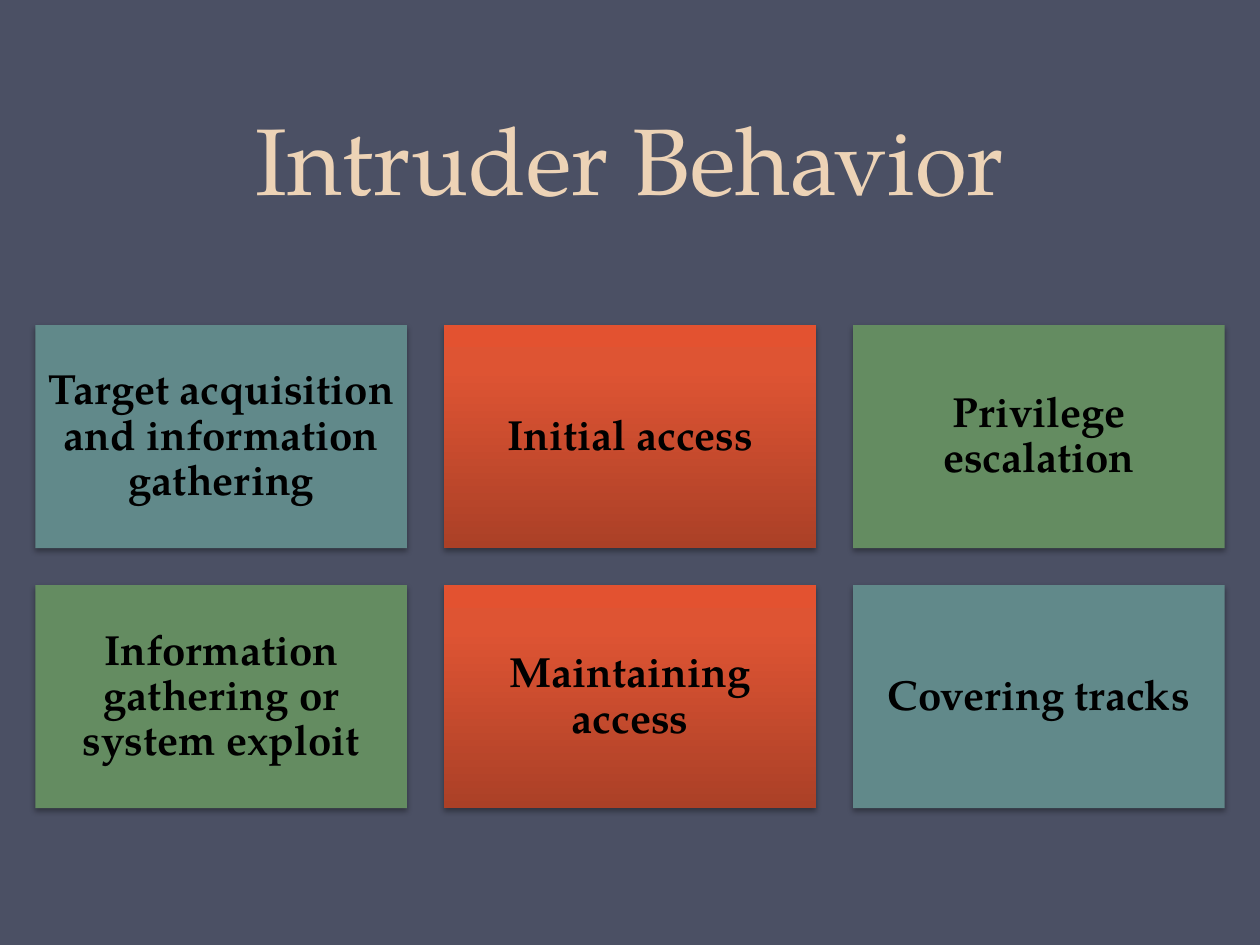
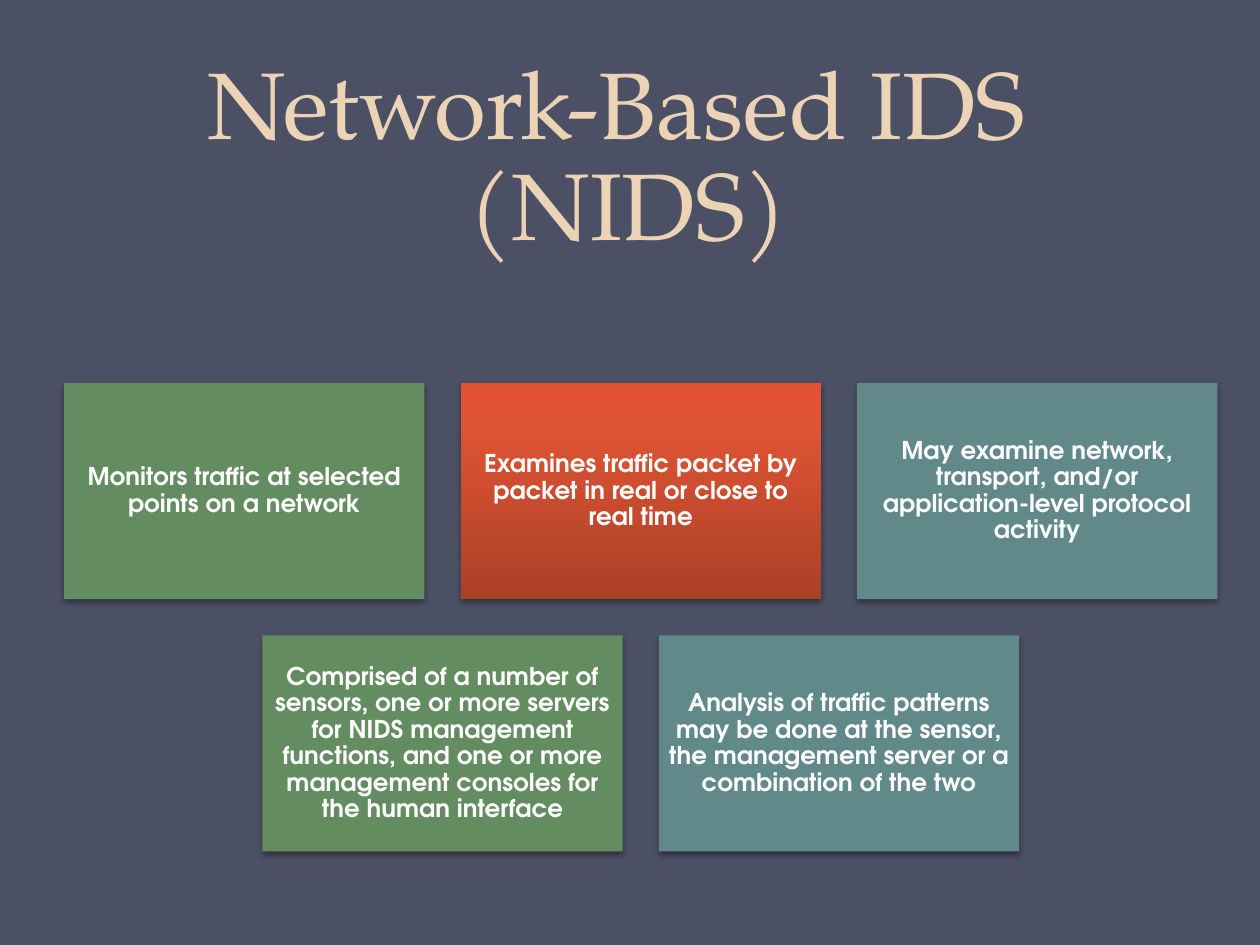
import dataclasses

import pptx
import pptx.dml.color
import pptx.enum.shapes
import pptx.enum.text
import pptx.oxml
import pptx.oxml.ns
import pptx.util

Inches = pptx.util.Inches
Pt = pptx.util.Pt
RGB = pptx.dml.color.RGBColor.from_string
ANCHOR = pptx.enum.text.MSO_ANCHOR
CENTER = pptx.enum.text.PP_ALIGN.CENTER
NS = pptx.oxml.ns.nsdecls("a")


@dataclasses.dataclass(frozen=True)
class Theme:
    background: str = "4B5064"
    title: str = "EDD3B6"
    teal: str = "61898A"
    green: str = "648C61"
    ember: tuple = ((0, "AB4027"), (80, "DE5433"), (100, "E35230"))
    dark: str = "000000"
    light: str = "FFFFFF"
    serif: str = "TeX Gyre Pagella"
    sans: str = "TeX Gyre Adventor"
    title_size: int = 54
    title_leading: int = 58
    large: int = 24
    small: int = 14


def apply(target, values):
    for name, value in values.items():
        setattr(target, name, value)


class Deck:
    def __init__(self, theme):
        self.theme = theme
        self.prs = pptx.Presentation()
        apply(self.prs, {"slide_width": Inches(10), "slide_height": Inches(7.5)})
        fill = self.prs.slide_master.background.fill
        fill.solid()
        fill.fore_color.rgb = RGB(theme.background)

    def slide(self):
        self.s = self.prs.slides.add_slide(self.prs.slide_layouts[5])

    def set_text(self, tf, text, font, color, leading, anchor):
        apply(tf, {"word_wrap": True, "vertical_anchor": anchor,
                   "auto_size": pptx.enum.text.MSO_AUTO_SIZE.NONE})
        tf.text = text
        for p in tf.paragraphs:
            apply(p, {"alignment": CENTER, "line_spacing": leading})
            for r in p.runs:
                apply(r.font, font)
                r.font.color.rgb = RGB(color)

    def title(self, text, left, top, width, height):
        t = self.theme
        sp = self.s.shapes.title
        apply(sp, {"left": Inches(left), "top": Inches(top),
                   "width": Inches(width), "height": Inches(height)})
        self.set_text(sp.text_frame, text, {"name": t.serif, "size": Pt(t.title_size)},
                      t.title, Pt(t.title_leading), ANCHOR.BOTTOM)

    def paint(self, sp, fill):
        if isinstance(fill, str):
            sp.fill.solid()
            sp.fill.fore_color.rgb = RGB(fill)
            return
        sp.fill.gradient()
        sp.fill.gradient_angle = 90
        stops = sp._element.spPr.find(".//" + pptx.oxml.ns.qn("a:gsLst"))
        for stop in list(stops):
            stops.remove(stop)
        for position, color in fill:
            stops.append(pptx.oxml.parse_xml(
                f'<a:gs {NS} pos="{position * 1000}"><a:srgbClr val="{color}"/></a:gs>'))

    def shade(self, sp):
        sp.shadow.inherit = False
        effects = sp._element.spPr.find(pptx.oxml.ns.qn("a:effectLst"))
        effects.append(pptx.oxml.parse_xml(
            f'<a:outerShdw {NS} blurRad="{Pt(3.1)}" dist="{Pt(1.8)}" dir="5400000" '
            f'rotWithShape="0"><a:srgbClr val="{self.theme.dark}">'
            '<a:alpha val="35000"/></a:srgbClr></a:outerShdw>'))

    def card(self, text, fill, left, top, width, height, inset, font, color):
        sp = self.s.shapes.add_shape(
            pptx.enum.shapes.MSO_SHAPE.RECTANGLE,
            Inches(left), Inches(top), Inches(width), Inches(height))
        self.paint(sp, fill)
        sp.line.fill.background()
        self.shade(sp)
        sides = ("left", "top", "right", "bottom")
        apply(sp.text_frame, {f"margin_{side}": Inches(inset) for side in sides})
        self.set_text(sp.text_frame, text, font, color, 0.9, ANCHOR.MIDDLE)

    def card_grid(self, cards, left, top, width, inset, name, size, color, columns=3):
        gap, height = width / 10, width * 0.6
        font = {"name": name, "size": Pt(size), "bold": True}
        for i, (text, fill) in enumerate(cards):
            row, column = divmod(i, columns)
            in_row = min(columns, len(cards) - row * columns)
            x = left + (column + (columns - in_row) / 2) * (width + gap)
            y = top + row * (height + gap)
            self.card(text, fill, x, y, width, height, inset, font, color)


def main():
    t = Theme()
    deck = Deck(t)

    deck.slide()
    deck.title("Intruder Behavior", 0.5, 0, 9, 1.75)
    behaviors = [
        ("Target acquisition and information gathering", t.teal),
        ("Initial access", t.ember),
        ("Privilege escalation", t.green),
        ("Information gathering or system exploit", t.green),
        ("Maintaining access", t.ember),
        ("Covering tracks", t.teal),
    ]
    deck.card_grid(behaviors, 0.28, 2.58, 2.95, 0.1, t.serif, t.large, t.dark)

    deck.slide()
    deck.title("Network-Based IDS \v(NIDS)", 0, 0.36, 9.97, 1.75)
    nids_traits = [
        ("Monitors traffic at selected points on a network", t.green),
        ("Examines traffic packet by packet in real or close to real time", t.ember),
        ("May examine network, transport, and/or application-level protocol activity",
         t.teal),
        ("Comprised of a number of sensors, one or more servers for NIDS management "
         "functions, and one or more management consoles for the human interface",
         t.green),
        ("Analysis of traffic patterns may be done at the sensor, the management "
         "server or a combination of the two", t.teal),
    ]
    deck.card_grid(nids_traits, 0.51, 3.04, 2.86, 0.06, t.sans, t.small, t.light)

    deck.prs.save("out.pptx")


if __name__ == "__main__":
    main()
